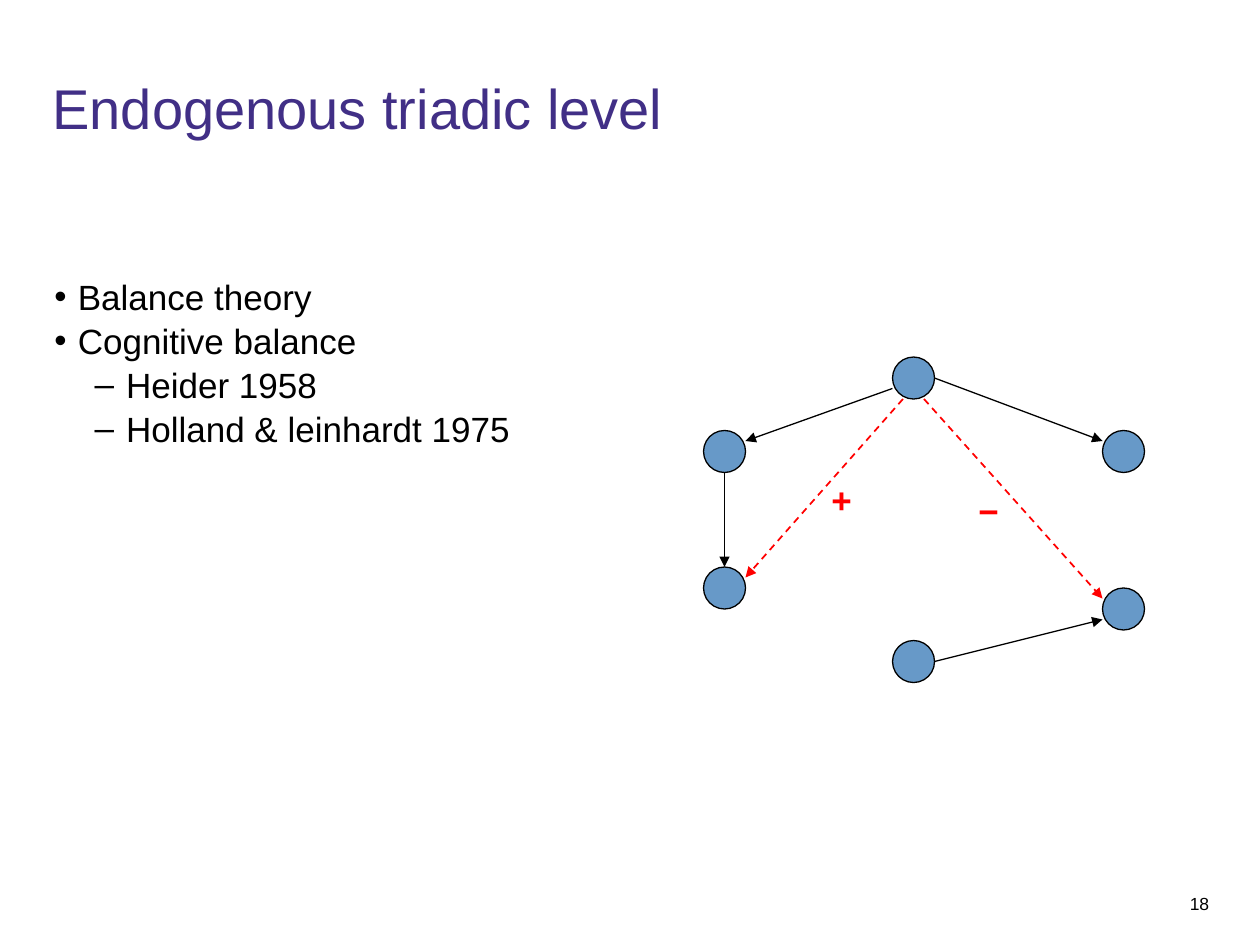
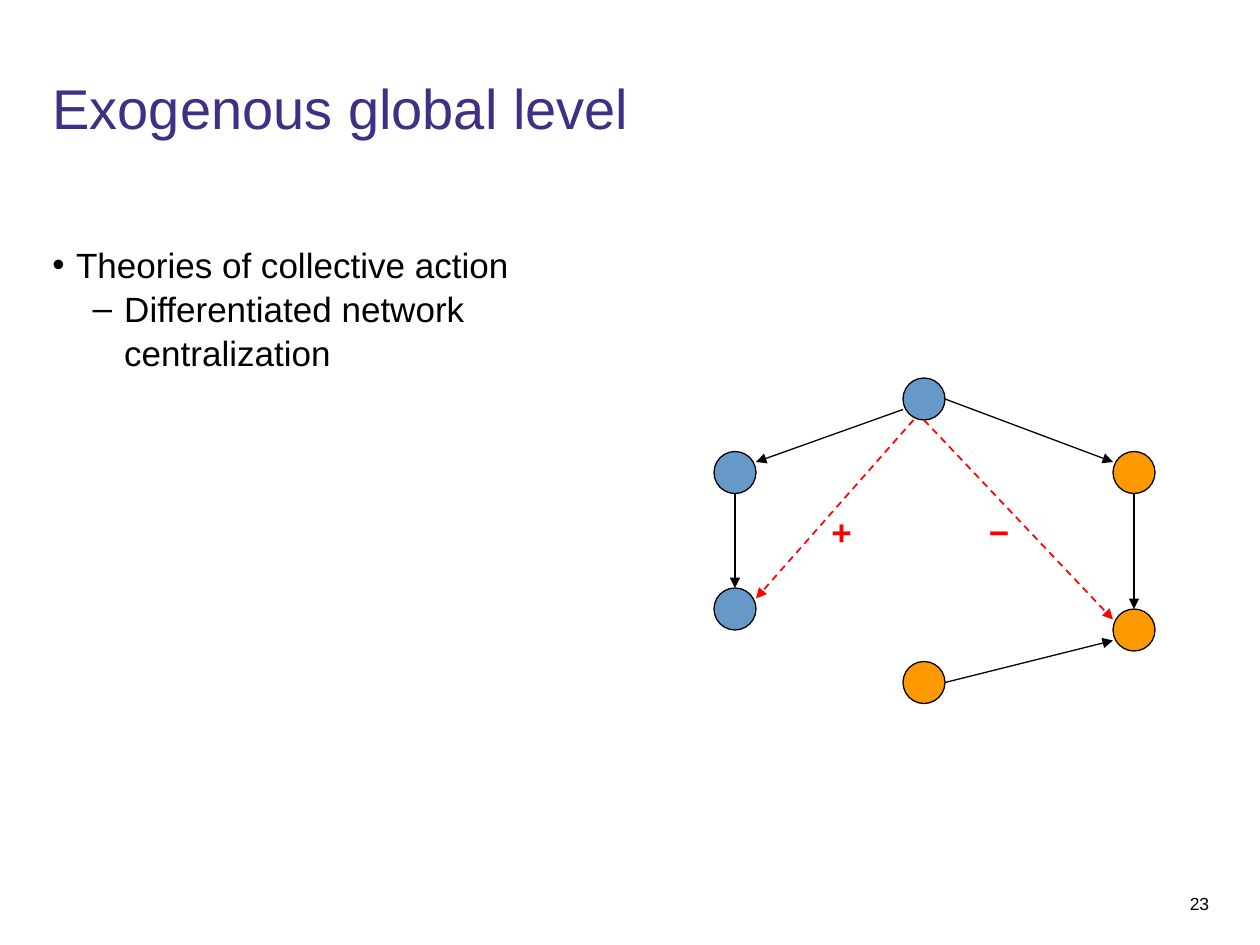
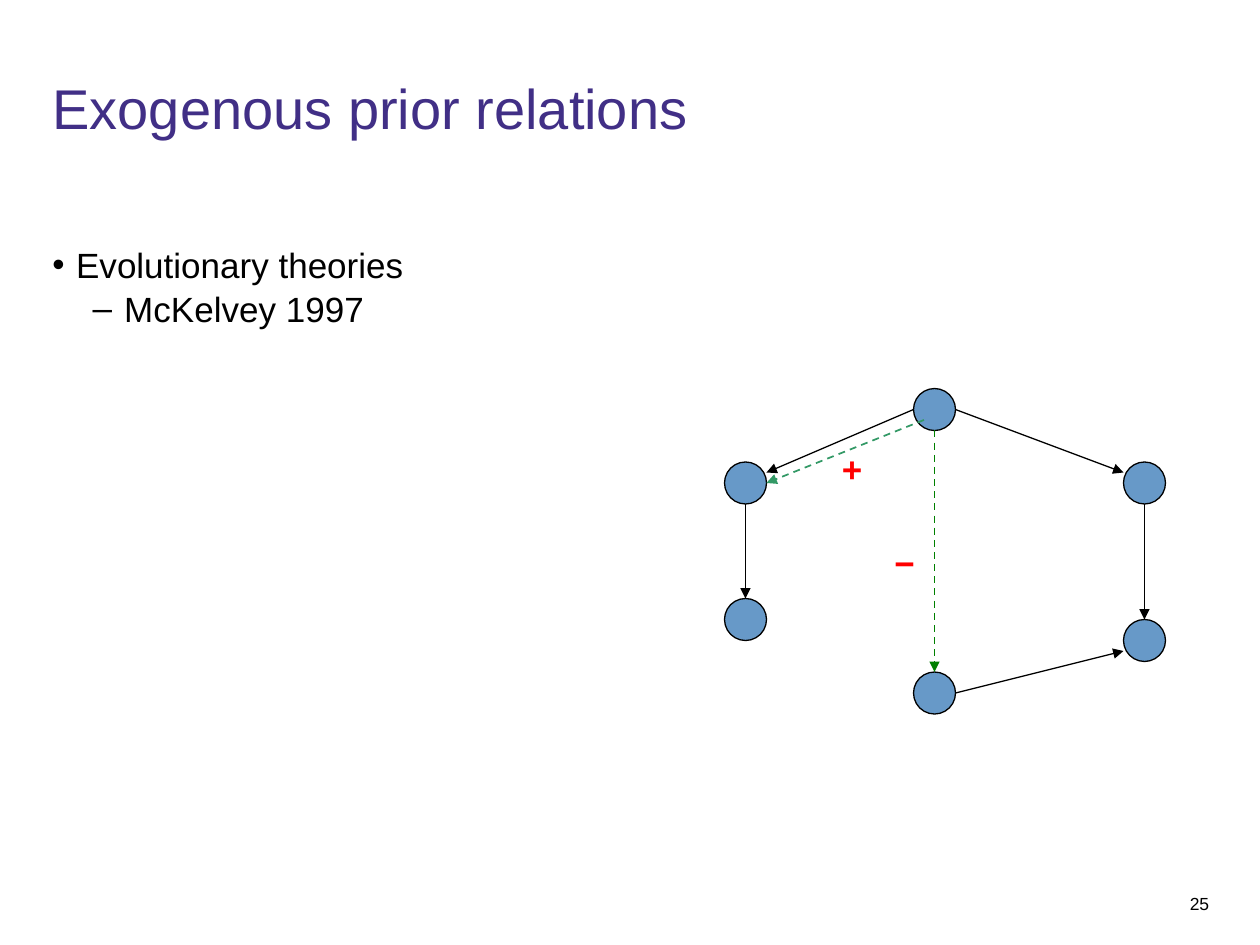
from lxml import etree
from pptx import Presentation
from pptx.dml.color import RGBColor
from pptx.enum.dml import MSO_LINE
from pptx.enum.shapes import MSO_CONNECTOR, MSO_SHAPE
from pptx.enum.text import MSO_ANCHOR, MSO_AUTO_SIZE, PP_ALIGN
from pptx.oxml.ns import qn
from pptx.util import Pt

STRAIGHT, OVAL, DASH = MSO_CONNECTOR.STRAIGHT, MSO_SHAPE.OVAL, MSO_LINE.DASH
LEFT, RIGHT, TOP = PP_ALIGN.LEFT, PP_ALIGN.RIGHT, MSO_ANCHOR.TOP
NO_FIT, GROW = MSO_AUTO_SIZE.NONE, MSO_AUTO_SIZE.SHAPE_TO_FIT_TEXT

BLACK = RGBColor(0x00, 0x00, 0x00)
PURPLE = RGBColor(0x41, 0x2F, 0x86)
BLUE = RGBColor(0x67, 0x99, 0xC8)
ORANGE = RGBColor(0xFF, 0x99, 0x00)
RED = RGBColor(0xFF, 0x00, 0x00)
GREEN = RGBColor(0x00, 0x80, 0x00)
SEA_GREEN = RGBColor(0x33, 0x99, 0x66)

FONT = "Arial"
NODE = 24
INDENTS = [(13.5, -13.5), (41, -18)]  # left margin and first line, by level

# Node corners and arrow ends are offsets from the network's top left corner.
NODES = {"top": (108, 0), "left": (0, 42), "lower left": (0, 120),
         "bottom": (108, 162), "lower right": (228, 132), "right": (228, 42)}
TIES = [(132, 12, 228, 48), (132, 174, 228, 150), (12, 66, 12, 120)]
TOP_TO_LEFT = (108, 18, 24, 48)
RIGHT_DOWN = (240, 66, 240, 132)
TOP_TO_LOWER_LEFT = (114, 24, 24, 126)

SLIDES = [
    {"number": "18", "title": "Endogenous triadic level",
     "body": (31, 156, 305, 324),
     "items": [(0, "Balance theory"), (0, "Cognitive balance"),
               (1, "Heider 1958"), (1, "Holland & leinhardt 1975")],
     "origin": (402, 204), "orange": [],
     "ties": [TOP_TO_LEFT],
     "predicted": [((126, 24, 228, 138), RED), (TOP_TO_LOWER_LEFT, RED)],
     "signs": [("−", 150, 72), ("+", 66, 66)]},
    {"number": "23", "title": "Exogenous global level",
     "body": (30, 138, 348, 324),
     "items": [(0, "Theories of collective action"),
               (1, "Differentiated network centralization")],
     "origin": (408, 216), "orange": ["bottom", "lower right", "right"],
     "ties": [TOP_TO_LEFT, RIGHT_DOWN],
     "predicted": [(TOP_TO_LOWER_LEFT, RED), ((120, 24, 228, 138), RED)],
     "signs": [("+", 60, 72), ("−", 150, 72)]},
    {"number": "25", "title": "Exogenous prior relations",
     "body": (30, 138, 348, 324),
     "items": [(0, "Evolutionary theories"), (1, "McKelvey 1997")],
     "origin": (414, 222), "orange": [],
     "ties": [(108, 12, 24, 48), RIGHT_DOWN],
     "predicted": [((120, 24, 120, 162), GREEN),
                   ((114, 18, 24, 54), SEA_GREEN)],
     "signs": [("−", 90, 84), ("+", 60, 30)]},
]


def write(sp, box, items, size, color, align=LEFT, bold=False, inset=(0, 0)):
    """Place sp and fill it with one paragraph per (level, text) item."""
    sp.left, sp.top, sp.width, sp.height = [Pt(v) for v in box]
    tf = sp.text_frame
    tf.word_wrap, tf.auto_size, tf.vertical_anchor = True, NO_FIT, TOP
    tf.margin_left = tf.margin_right = Pt(inset[0])
    tf.margin_top = tf.margin_bottom = Pt(inset[1])
    for i, (level, text) in enumerate(items):
        p = tf.add_paragraph() if i else tf.paragraphs[0]
        p.level, p.alignment, p.space_before = level, align, Pt(0)
        r = p.add_run()
        r.text = text
        r.font.name, r.font.size, r.font.bold = FONT, Pt(size), bold
        r.font.color.rgb = color
    return tf


def add_arrow(slide, origin, ends, color, width, dash=None):
    x, y = origin
    x1, y1, x2, y2 = ends
    cxn = slide.shapes.add_connector(
        STRAIGHT, Pt(x + x1), Pt(y + y1), Pt(x + x2), Pt(y + y2))
    cxn.line.color.rgb, cxn.line.width = color, Pt(width)
    cxn.line.dash_style = dash
    etree.SubElement(cxn.line._get_or_add_ln(), qn("a:tailEnd"), type="triangle")
    etree.SubElement(cxn._element.spPr, qn("a:effectLst"))


prs = Presentation()
prs.slide_width, prs.slide_height = Pt(720), Pt(540)

for page in SLIDES:
    slide = prs.slides.add_slide(prs.slide_layouts[1])
    title, body = slide.placeholders
    write(title, (30, 42, 658, 72), [(0, page["title"])], 32, PURPLE)

    tf = write(body, page["body"], page["items"], 20, BLACK)
    for p in tf.paragraphs:
        p.line_spacing = 1.05
        margin, first = INDENTS[p.level]
        pPr = p._p.get_or_add_pPr()
        pPr.set("marL", str(Pt(margin)))
        pPr.set("indent", str(Pt(first)))

    number = slide.shapes.add_textbox(0, 0, 0, 0)
    write(number, (666, 510, 25, 12), [(0, page["number"])], 10, BLACK, RIGHT)

    x, y = page["origin"]
    for name, (dx, dy) in NODES.items():
        node = slide.shapes.add_shape(OVAL, Pt(x + dx), Pt(y + dy), Pt(NODE), Pt(NODE))
        node.shadow.inherit = False
        node.fill.solid()
        node.fill.fore_color.rgb = ORANGE if name in page["orange"] else BLUE
        node.line.color.rgb, node.line.width = BLACK, Pt(0.75)

    for ends in TIES + page["ties"]:
        add_arrow(slide, (x, y), ends, BLACK, 0.75)
    for ends, color in page["predicted"]:
        add_arrow(slide, (x, y), ends, color, 1, DASH)

    for sign, dx, dy in page["signs"]:
        label = slide.shapes.add_textbox(0, 0, 0, 0)
        tf = write(label, (x + dx, y + dy, 30, 31.5), [(0, sign)], 20, RED,
                   bold=True, inset=(7.2, 3.6))
        tf.auto_size = GROW
        tf.paragraphs[0].space_before = Pt(12.5)

prs.save("out.pptx")
